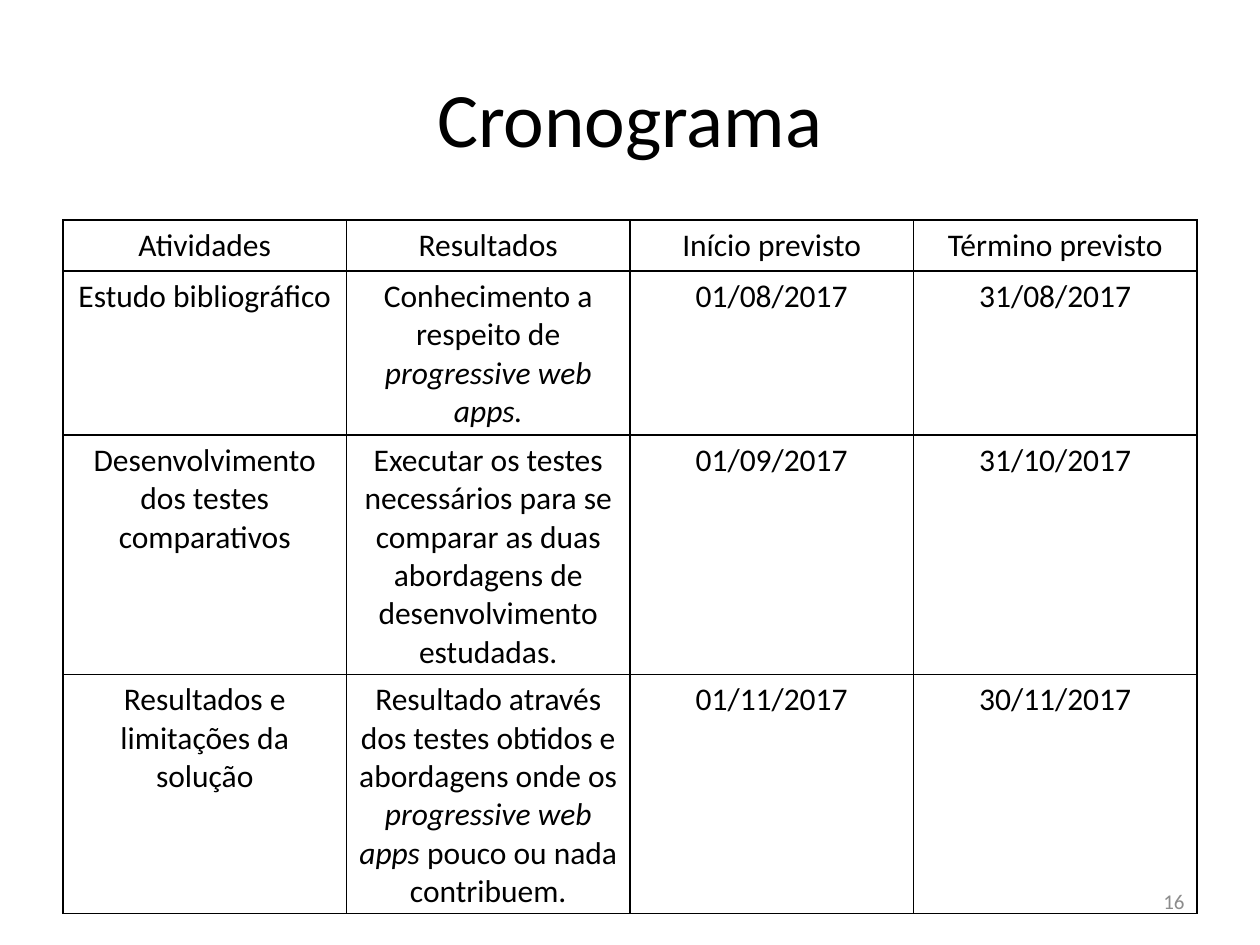
"""Builds the project schedule slide with its table of activities."""
from dataclasses import dataclass

from lxml import etree
from pptx import Presentation, util as u
from pptx.dml.color import RGBColor
from pptx.enum import text
from pptx.oxml import ns

PX_PER_INCH = 126


def px(length):
    return u.Emu(round(length * 914400 / PX_PER_INCH))


@dataclass(frozen=True)
class Theme:
    font: str = "Calibri"
    ink: str = "000000"
    muted: str = "8C8C8C"
    title_size: int = 44
    body_size: int = 18
    number_size: int = 12
    border_width: int = 1


class SlideBuilder:
    def __init__(self, slide, theme):
        self.slide = slide
        self.theme = theme

    def add_runs(self, paragraph, runs, size, color, align):
        paragraph.alignment = align
        for words, italic in runs:
            run = paragraph.add_run()
            run.text = words
            formats = {"name": self.theme.font, "size": u.Pt(size), "italic": italic}
            for key, value in formats.items():
                setattr(run.font, key, value)
            run.font.color.rgb = RGBColor.from_string(color)

    def label(self, words, box, size, color, align):
        frame = self.slide.shapes.add_textbox(*map(px, box)).text_frame
        formats = {"word_wrap": True, "vertical_anchor": text.MSO_ANCHOR.MIDDLE}
        for key, value in formats.items():
            setattr(frame, key, value)
        self.add_runs(frame.paragraphs[0], [(words, False)], size, color, align)

    def border(self, cell):
        properties = cell._tc.get_or_add_tcPr()
        for position, side in enumerate(("lnL", "lnR", "lnT", "lnB")):
            line = etree.Element(ns.qn(f"a:{side}"), w=str(u.Pt(self.theme.border_width)))
            fill = etree.SubElement(line, ns.qn("a:solidFill"))
            etree.SubElement(fill, ns.qn("a:srgbClr"), val=self.theme.ink)
            properties.insert(position, line)

    def table(self, rows, box, row_height):
        frame = self.slide.shapes.add_table(len(rows), len(rows[0]), *map(px, box))
        grid = frame.table
        for flag, value in {"first_row": False, "horz_banding": False}.items():
            setattr(grid, flag, value)
        for row, entries in zip(grid.rows, rows):
            row.height = px(row_height)
            for cell, entry in zip(row.cells, entries):
                cell.fill.background()
                self.border(cell)
                runs = [(entry, False)] if isinstance(entry, str) else entry
                self.add_runs(cell.text_frame.paragraphs[0], runs, self.theme.body_size,
                              self.theme.ink, text.PP_ALIGN.CENTER)
        frame.height = px(box[3])


SCHEDULE = [
    ["Atividades", "Resultados", "Início previsto", "Término previsto"],
    ["Estudo bibliográfico",
     [("Conhecimento a respeito de ", False), ("progressive web apps.", True)],
     "01/08/2017", "31/08/2017"],
    ["Desenvolvimento dos testes comparativos",
     "Executar os testes necessários para se comparar as duas abordagens de "
     "desenvolvimento estudadas.",
     "01/09/2017", "31/10/2017"],
    ["Resultados e limitações da solução",
     [("Resultado através dos testes obtidos e abordagens onde os ", False),
      ("progressive web apps ", True), ("pouco ou nada contribuem.", False)],
     "01/11/2017", "30/11/2017"],
]


def main():
    deck = Presentation()
    deck.slide_width, deck.slide_height = px(1260), px(945)
    theme = Theme()
    builder = SlideBuilder(deck.slides.add_slide(deck.slide_layouts[6]), theme)
    builder.label("Cronograma", (63, 38, 1134, 157), theme.title_size, theme.ink,
                  text.PP_ALIGN.CENTER)
    builder.table(SCHEDULE, (63, 220, 1134, 694), row_height=51)
    builder.label("16", (903, 876, 294, 50), theme.number_size, theme.muted,
                  text.PP_ALIGN.RIGHT)
    deck.save("out.pptx")


if __name__ == "__main__":
    main()
